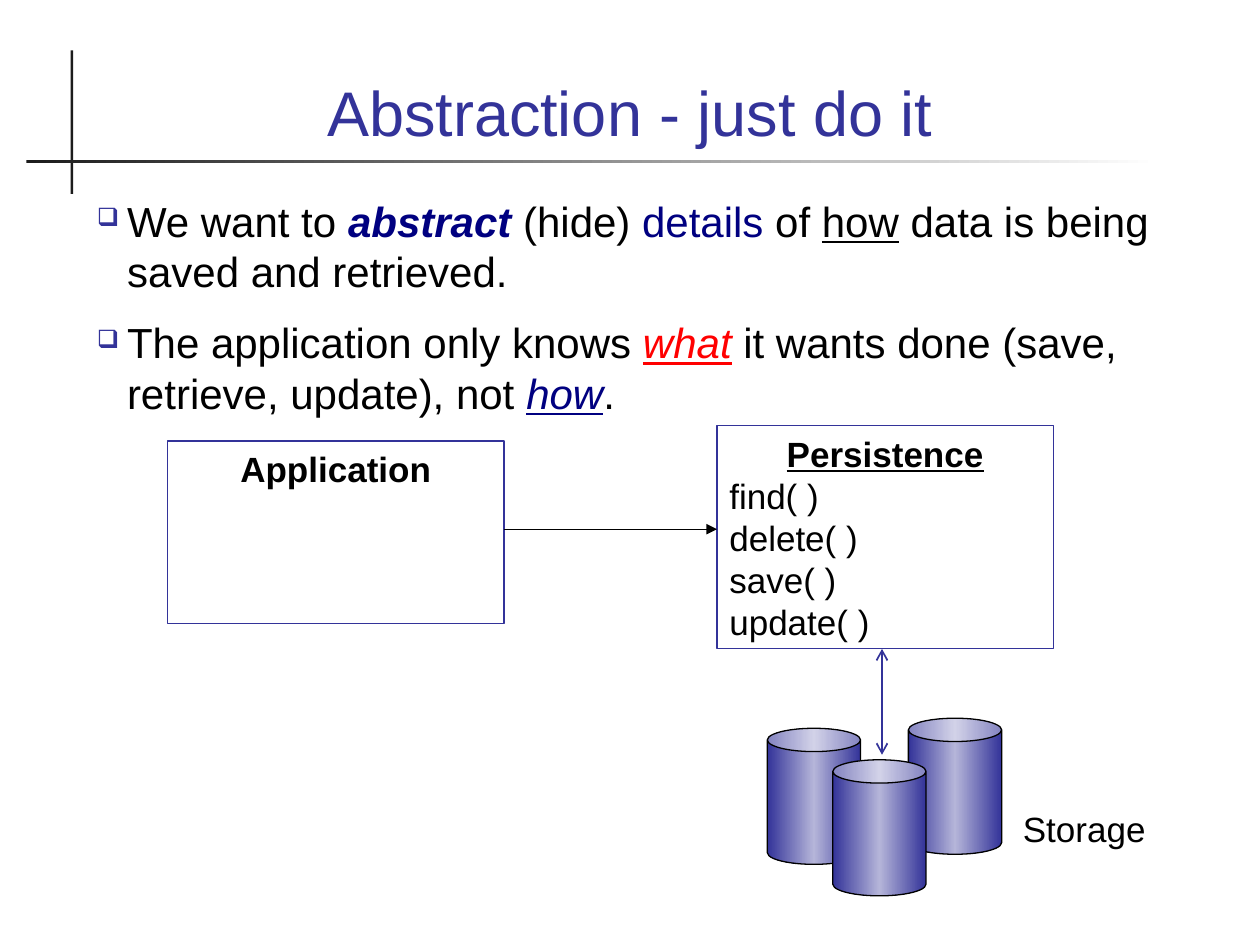
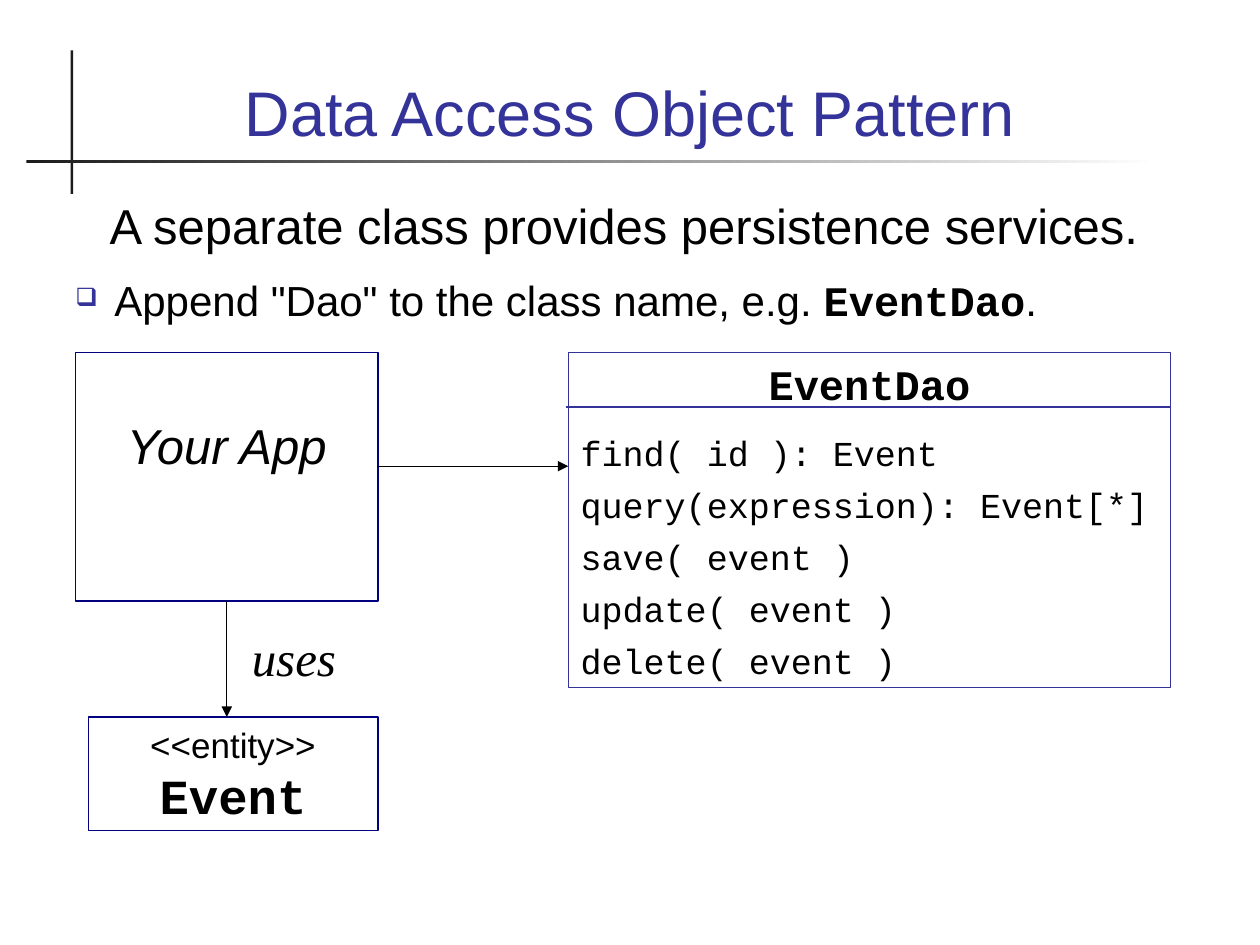
import pptx
import pptx.util
import pptx.dml.color
import pptx.enum.shapes
import pptx.enum.text
import pptx.oxml.ns
from lxml import etree

Inches, Pt = pptx.util.Inches, pptx.util.Pt
SHAPE = pptx.enum.shapes.MSO_SHAPE
ALIGN = pptx.enum.text.PP_ALIGN
ANCHOR = pptx.enum.text.MSO_ANCHOR
qn = pptx.oxml.ns.qn

BLUE, NAVY, BLACK, RED = "333399", "000080", "000000", "FF0000"
DARK, WHITE, SHEEN = "1C1C1C", "FFFFFF", "B5B5D9"
SANS, MONO, SERIF = "Arial", "Courier New", "Times New Roman"


def rgb(value):
    return pptx.dml.color.RGBColor.from_string(value)


def sub(parent, tag, **attrs):
    return etree.SubElement(parent, qn(tag), attrs)


def run(text, color=BLACK, font=SANS, bold=False, italic=False, underline=False):
    return dict(text=text, color=color, font=font,
                bold=bold, italic=italic, underline=underline)


def para(*runs, size=20, center=False, before=0, indent=0):
    """One paragraph; an indent gives it a hanging bullet."""
    return dict(runs=runs, size=size, center=center, before=before, indent=indent)


class Deck:
    """Style of the deck and the slide being drawn."""

    def __init__(self):
        self.prs = pptx.Presentation()
        self.prs.slide_width, self.prs.slide_height = Inches(10), Inches(7.5)
        self.s = None

    def slide(self, title):
        self.s = self.prs.slides.add_slide(self.prs.slide_layouts[6])
        # Crossed bars behind the title
        self.shape(SHAPE.RECTANGLE, 0.56, 0.4, 0.02, 1.14, fill=[DARK])
        self.shape(SHAPE.RECTANGLE, 0.21, 1.27, 8.98, 0.02, fill=[DARK, WHITE])
        self.text(0.67, 0.28, 8.66, 0.95,
                  [para(run(title, color=BLUE), size=36, center=True)], ANCHOR.BOTTOM)

    def shape(self, kind, x, y, w, h, fill=(), line=None):
        """Preset shape; several fill colours run from left to right."""
        sp = self.s.shapes.add_shape(kind, Inches(x), Inches(y), Inches(w), Inches(h))
        sp.shadow.inherit = False
        if not fill:
            sp.fill.background()
        elif len(fill) == 1:
            sp.fill.solid()
            sp.fill.fore_color.rgb = rgb(fill[0])
        else:
            sp.fill.gradient()
            sp.fill.gradient_angle = 0
            stops = sp.element.spPr.find(".//" + qn("a:gsLst"))
            stops.clear()
            for i, color in enumerate(fill):
                gs = sub(stops, "a:gs", pos=str(100000 * i // (len(fill) - 1)))
                sub(gs, "a:srgbClr", val=color)
        if line:
            sp.line.color.rgb = rgb(line)
            sp.line.width = Pt(0.75)
        else:
            sp.line.fill.background()
        return sp

    def text(self, x, y, w, h, paras, anchor=ANCHOR.TOP):
        sp = self.s.shapes.add_textbox(Inches(x), Inches(y), Inches(w), Inches(h))
        self.set_paras(sp.text_frame, paras, anchor)

    def box(self, x, y, w, h, paras, line=BLUE, top=0.05):
        sp = self.shape(SHAPE.RECTANGLE, x, y, w, h, line=line)
        self.set_paras(sp.text_frame, paras, top=top)

    def set_paras(self, tf, paras, anchor=ANCHOR.TOP, top=0.05):
        tf.word_wrap = True
        tf.vertical_anchor = anchor
        tf.margin_left = tf.margin_right = Inches(0.1)
        tf.margin_top, tf.margin_bottom = Inches(top), Inches(0.05)
        for i, item in enumerate(paras):
            p = tf.add_paragraph() if i else tf.paragraphs[0]
            p.alignment = ALIGN.CENTER if item["center"] else ALIGN.LEFT
            p.space_before = Pt(item["before"])
            if item["indent"]:
                self.bullet(p, item["indent"])
            for part in item["runs"]:
                r = p.add_run()
                r.text = part["text"]
                r.font.size = Pt(item["size"])
                r.font.name = part["font"]
                r.font.color.rgb = rgb(part["color"])
                r.font.bold, r.font.italic = part["bold"], part["italic"]
                r.font.underline = part["underline"]

    def bullet(self, p, indent):
        pPr = p._p.get_or_add_pPr()
        pPr.set("marL", str(Inches(indent)))
        pPr.set("indent", str(-Inches(indent)))
        sub(sub(pPr, "a:buClr"), "a:srgbClr", val=BLUE)
        sub(pPr, "a:buSzPct", val="60000")
        sub(pPr, "a:buChar", char="❑")

    def line(self, x1, y1, x2, y2, color=BLACK, width=0.75, head=None, tail=None):
        c = self.s.shapes.add_connector(pptx.enum.shapes.MSO_CONNECTOR.STRAIGHT,
                                        Inches(x1), Inches(y1), Inches(x2), Inches(y2))
        c.line.color.rgb = rgb(color)
        c.line.width = Pt(width)
        ln = c.element.spPr.find(qn("a:ln"))
        for tag, kind in (("a:headEnd", head), ("a:tailEnd", tail)):
            if kind:
                sub(ln, tag, type=kind)
        sub(c.element.spPr, "a:effectLst")


def abstraction(deck):
    deck.slide("Abstraction - just do it")
    deck.text(0.67, 1.5, 8.66, 2.1, [
        para(run("We want to "), run("abstract", color=NAVY, bold=True, italic=True),
             run(" (hide) "), run("details", color=NAVY), run(" of "),
             run("how", underline=True), run(" data is being saved and retrieved."),
             size=24, indent=0.24),
        para(run("The application only knows "),
             run("what", color=RED, italic=True, underline=True),
             run(" it wants done (save, retrieve, update), not "),
             run("how", color=NAVY, italic=True, underline=True), run("."),
             size=24, before=12, indent=0.24),
    ])

    # Application and the persistence layer it calls
    deck.box(1.33, 3.5, 2.67, 1.45, [para(run("Application", bold=True), center=True)])
    methods = ["find( )", "delete( )", "save( )", "update( )"]
    deck.box(5.69, 3.38, 2.67, 1.77,
             [para(run("Persistence", bold=True, underline=True), center=True)]
             + [para(run(m)) for m in methods])
    deck.line(4, 4.2, 5.69, 4.2, tail="triangle")

    # Storage cylinders, the front one last
    for x, y in [(6.09, 5.78), (7.21, 5.7), (6.61, 6.03)]:
        can = deck.shape(SHAPE.CAN, x, y, 0.74, 1.08, fill=[BLUE, SHEEN, BLUE], line=BLACK)
        can.adjustments[0] = 0.25
    deck.line(7, 5.15, 7, 5.99, BLUE, 1, head="arrow", tail="arrow")
    deck.text(8.02, 6.36, 1.9, 0.44, [para(run("Storage"))])


def dao_pattern(deck):
    deck.slide("Data Access Object Pattern")
    deck.text(0.5, 1.5, 8.9, 1.3, [
        para(run("A separate class provides persistence services."), size=28, center=True),
        para(run('Append "Dao" to the class name, e.g. '),
             run("EventDao", font=MONO, bold=True), run("."),
             size=24, before=12, indent=0.31),
    ])

    # DAO class with its methods
    methods = ["find( id ): Event", "query(expression): Event[*]", "save( event )",
               "update( event )", "delete( event )"]
    deck.box(4.51, 2.8, 4.78, 2.66,
             [para(run("EventDao", font=MONO, bold=True), size=24, center=True)]
             + [para(run(m, font=MONO), before=5.7 if i else 12.5)
                for i, m in enumerate(methods)])
    deck.line(4.49, 3.23, 9.29, 3.23, BLUE)

    # Application, which calls the DAO and uses the entity
    deck.box(0.6, 2.8, 2.4, 1.97,
             [para(run("Your App", italic=True), size=28, center=True)], NAVY, top=0.5)
    deck.line(3, 3.7, 4.51, 3.7, tail="triangle")
    deck.box(0.7, 5.69, 2.3, 0.9,
             [para(run("<<entity>>"), center=True),
              para(run("Event", font=MONO, bold=True), size=28, center=True)], NAVY)
    deck.line(1.8, 4.77, 1.8, 5.69, tail="triangle")
    deck.text(1.9, 4.93, 1.1, 0.57, [para(run("uses", font=SERIF, italic=True), size=28)])


def main():
    deck = Deck()
    abstraction(deck)
    dao_pattern(deck)
    deck.prs.save("out.pptx")


if __name__ == "__main__":
    main()
